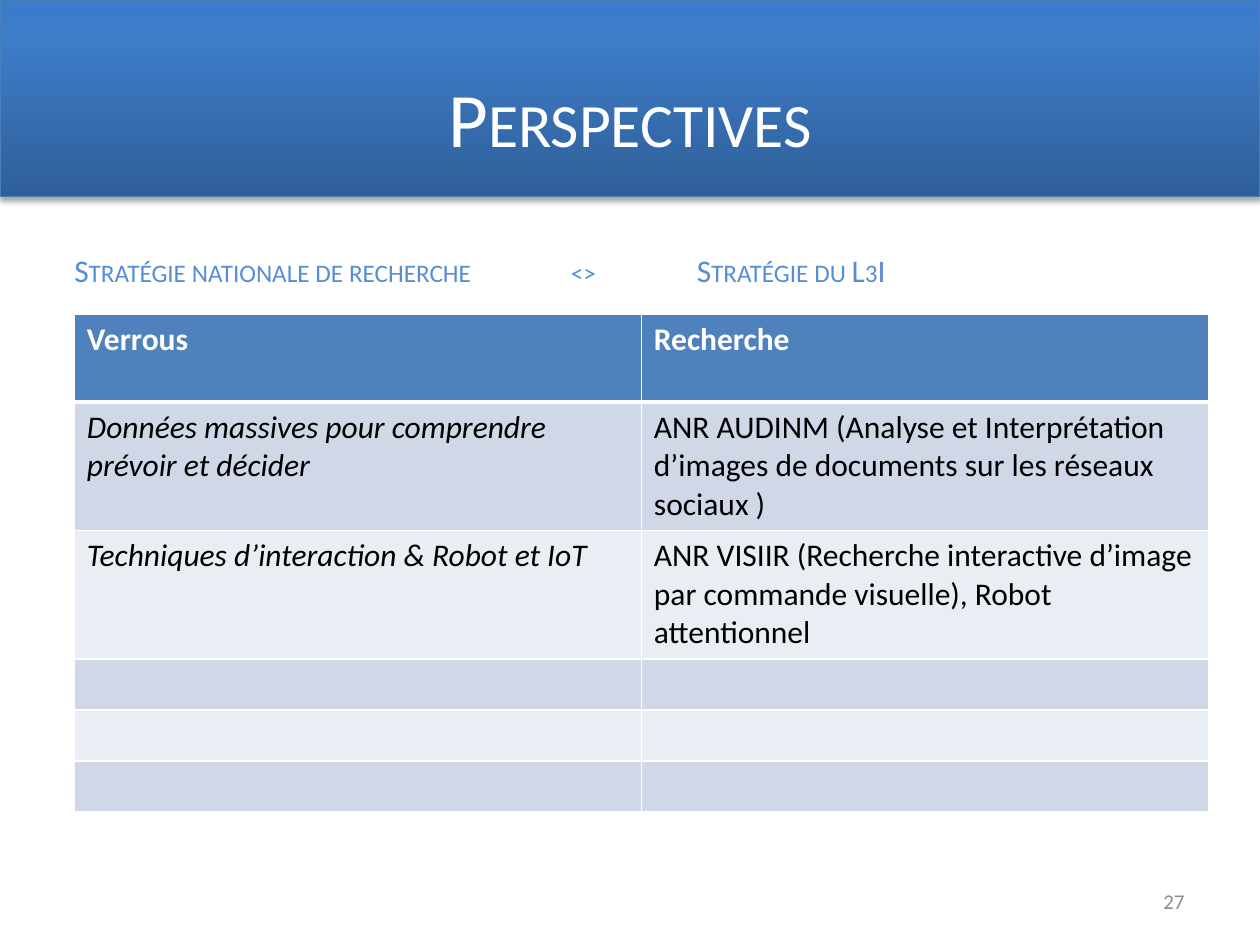
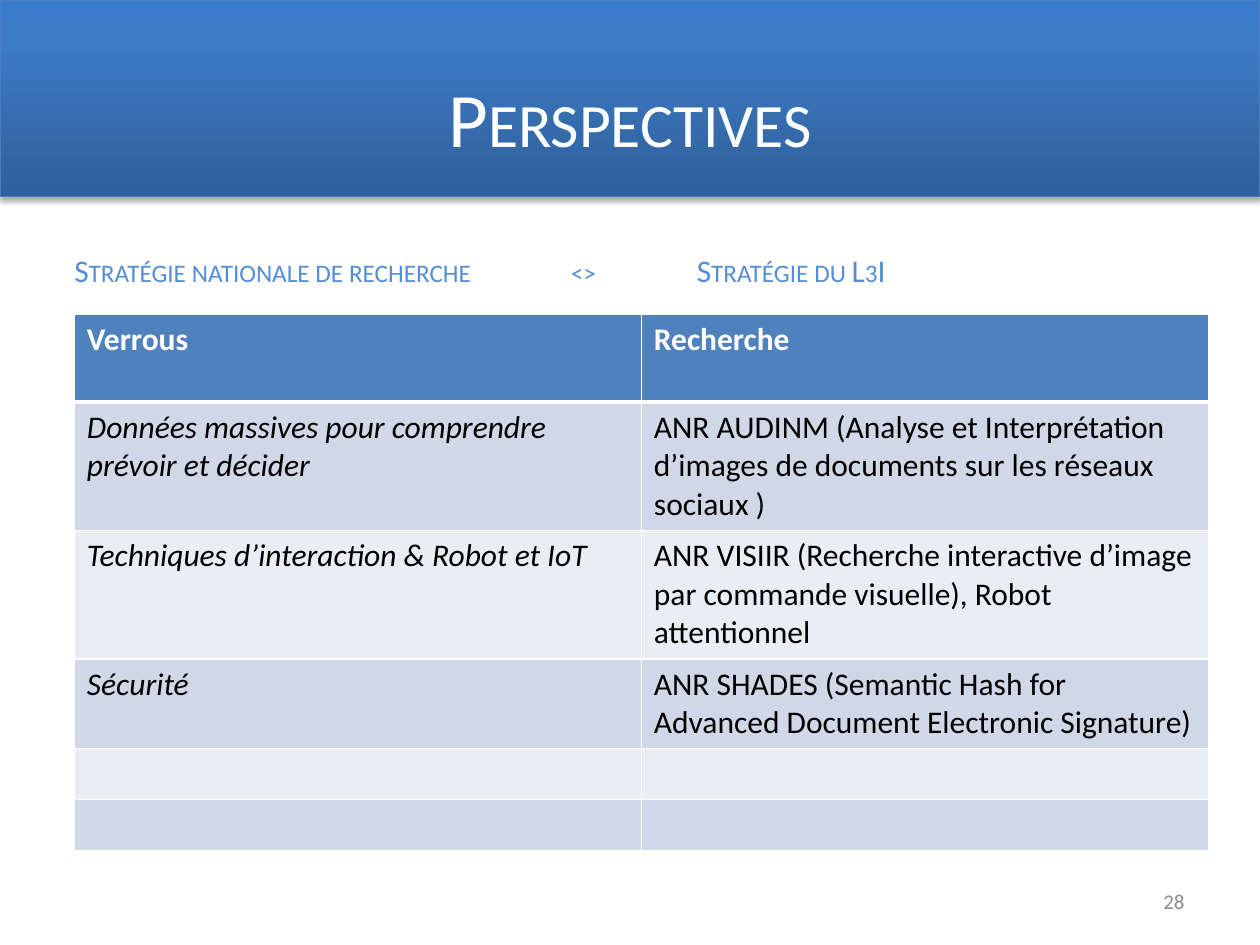
from lxml.etree import SubElement
from pptx import Presentation
from pptx.dml.color import RGBColor
from pptx.enum.shapes import MSO_SHAPE
from pptx.enum.text import MSO_ANCHOR, PP_ALIGN
from pptx.oxml.ns import qn
from pptx.util import Inches, Pt

TITLE = "Perspectives"
SUBTITLE = "Stratégie nationale de recherche\t<>\tStratégie du L3I"
HEADER = ("Verrous", "Recherche")
MASSIVE_DATA = (
    "Données massives pour comprendre prévoir et décider",
    "ANR AUDINM (Analyse et Interprétation d’images de documents sur les réseaux sociaux )",
)
INTERACTION = (
    "Techniques d’interaction & Robot et IoT",
    "ANR VISIIR (Recherche interactive d’image par commande visuelle), Robot attentionnel",
)
SECURITY = (
    "Sécurité",
    "ANR SHADES (Semantic Hash for Advanced Document Electronic Signature)",
)
EMPTY = ("", "")
# Each slide: page number, then (row texts, row height in inches)
SLIDES = [
    ("27", [(HEADER, 0.7), (MASSIVE_DATA, 1.02), (INTERACTION, 1.02),
            (EMPTY, 0.4), (EMPTY, 0.4), (EMPTY, 0.4)]),
    ("28", [(HEADER, 0.7), (MASSIVE_DATA, 1.02), (INTERACTION, 1.02),
            (SECURITY, 0.71), (EMPTY, 0.4), (EMPTY, 0.4)]),
]

FONT = "Calibri"
COLORS = {
    "white": "FFFFFF", "black": "000000", "subtitle": "558ED5", "number": "8C8C8C",
    "header": "4F81BD", "odd_row": "D0D8E8", "even_row": "E9EDF4", "band_line": "4B7EBC",
}
BAND_STOPS = [(0, "2F5F99"), (80, "3D7CC7"), (100, "3A7CCB")]
TAB_STOPS = (3.94, 4.94)
COLUMN_WIDTH = 4.5


def rgb(name):
    return RGBColor.from_string(COLORS[name])


def add_run(p, text, size, color, bold=False, italic=False, small_caps=False):
    r = p.add_run()
    r.text = text
    font = r.font
    font.name, font.size = FONT, Pt(size)
    font.bold, font.italic = bold, italic
    font.color.rgb = rgb(color)
    if small_caps:
        r._r.get_or_add_rPr().set("cap", "small")


def add_color(parent, value):
    return SubElement(parent, qn("a:srgbClr"), val=value)


def add_band(s):
    band = s.shapes.add_shape(MSO_SHAPE.RECTANGLE, 0, 0, Inches(10), Inches(1.56))
    band.fill.gradient()
    band.fill.gradient_angle = 90
    stops = band._element.spPr.find(".//" + qn("a:gsLst"))
    for stop in list(stops):
        stops.remove(stop)
    for percent, value in BAND_STOPS:
        add_color(SubElement(stops, qn("a:gs"), pos=str(percent * 1000)), value)
    band.line.color.rgb = rgb("band_line")
    band.line.width = Pt(0.75)
    band.shadow.inherit = False
    effects = band._element.spPr.find(qn("a:effectLst"))
    shadow = SubElement(effects, qn("a:outerShdw"), blurRad=str(Pt(3.1)),
                        dist=str(Pt(1.8)), dir="5400000", rotWithShape="0")
    SubElement(add_color(shadow, COLORS["black"]), qn("a:alpha"), val="35000")
    s.shapes._spTree.insert(2, band._element)  # behind the title


def add_title(s):
    title = s.shapes.title
    title.left, title.top = Inches(0.5), Inches(0.3)
    title.width, title.height = Inches(9), Inches(1.25)
    tf = title.text_frame
    tf.vertical_anchor = MSO_ANCHOR.MIDDLE
    p = tf.paragraphs[0]
    p.alignment = PP_ALIGN.CENTER
    add_run(p, TITLE, 44, "white", small_caps=True)


def add_text_box(s, left, top, width, height):
    tf = s.shapes.add_textbox(*map(Inches, (left, top, width, height))).text_frame
    tf.word_wrap = True
    return tf


def add_subtitle(s):
    tf = add_text_box(s, 0.43, 1.94, 6.81, 0.4)
    tf.margin_left = Inches(0.16)
    p = tf.paragraphs[0]
    tabs = SubElement(p._p.get_or_add_pPr(), qn("a:tabLst"))
    for stop in TAB_STOPS:
        SubElement(tabs, qn("a:tab"), pos=str(Inches(stop)), algn="l")
    add_run(p, SUBTITLE, 18, "subtitle", small_caps=True)


def add_page_number(s, number):
    tf = add_text_box(s, 7.17, 6.95, 2.33, 0.4)
    tf.vertical_anchor = MSO_ANCHOR.MIDDLE
    p = tf.paragraphs[0]
    p.alignment = PP_ALIGN.RIGHT
    add_run(p, number, 12, "number")


def set_borders(cell, top, bottom):
    """Draw white borders; top and bottom are widths in points."""
    tcPr = cell._tc.get_or_add_tcPr()
    for side, width in (("L", 1), ("R", 1), ("T", top), ("B", bottom)):
        line = SubElement(tcPr, qn("a:ln" + side), w=str(Pt(width)))
        add_color(SubElement(line, qn("a:solidFill")), COLORS["white"])


def add_strategy_table(s, rows):
    columns = len(HEADER)
    height = sum(row_height for _, row_height in rows)
    table = s.shapes.add_table(len(rows), columns, Inches(0.59), Inches(2.49),
                               Inches(columns * COLUMN_WIDTH), Inches(height)).table
    for column in table.columns:
        column.width = Inches(COLUMN_WIDTH)
    for i, (texts, row_height) in enumerate(rows):
        table.rows[i].height = Inches(row_height)
        is_header = i == 0
        fill = "header" if is_header else "odd_row" if i % 2 else "even_row"
        for j, text in enumerate(texts):
            cell = table.cell(i, j)
            set_borders(cell, top=3 if i == 1 else 1, bottom=3 if is_header else 1)
            cell.fill.solid()
            cell.fill.fore_color.rgb = rgb(fill)
            p = cell.text_frame.paragraphs[0]
            p.font.size = Pt(18)
            if text:
                add_run(p, text, 18, "white" if is_header else "black",
                        bold=is_header, italic=not is_header and j == 0)


def main():
    prs = Presentation()
    prs.slide_width, prs.slide_height = Inches(10), Inches(7.5)
    for number, rows in SLIDES:
        s = prs.slides.add_slide(prs.slide_layouts[5])
        add_band(s)
        add_title(s)
        add_strategy_table(s, rows)
        add_page_number(s, number)
        add_subtitle(s)
    prs.save("out.pptx")


if __name__ == "__main__":
    main()
